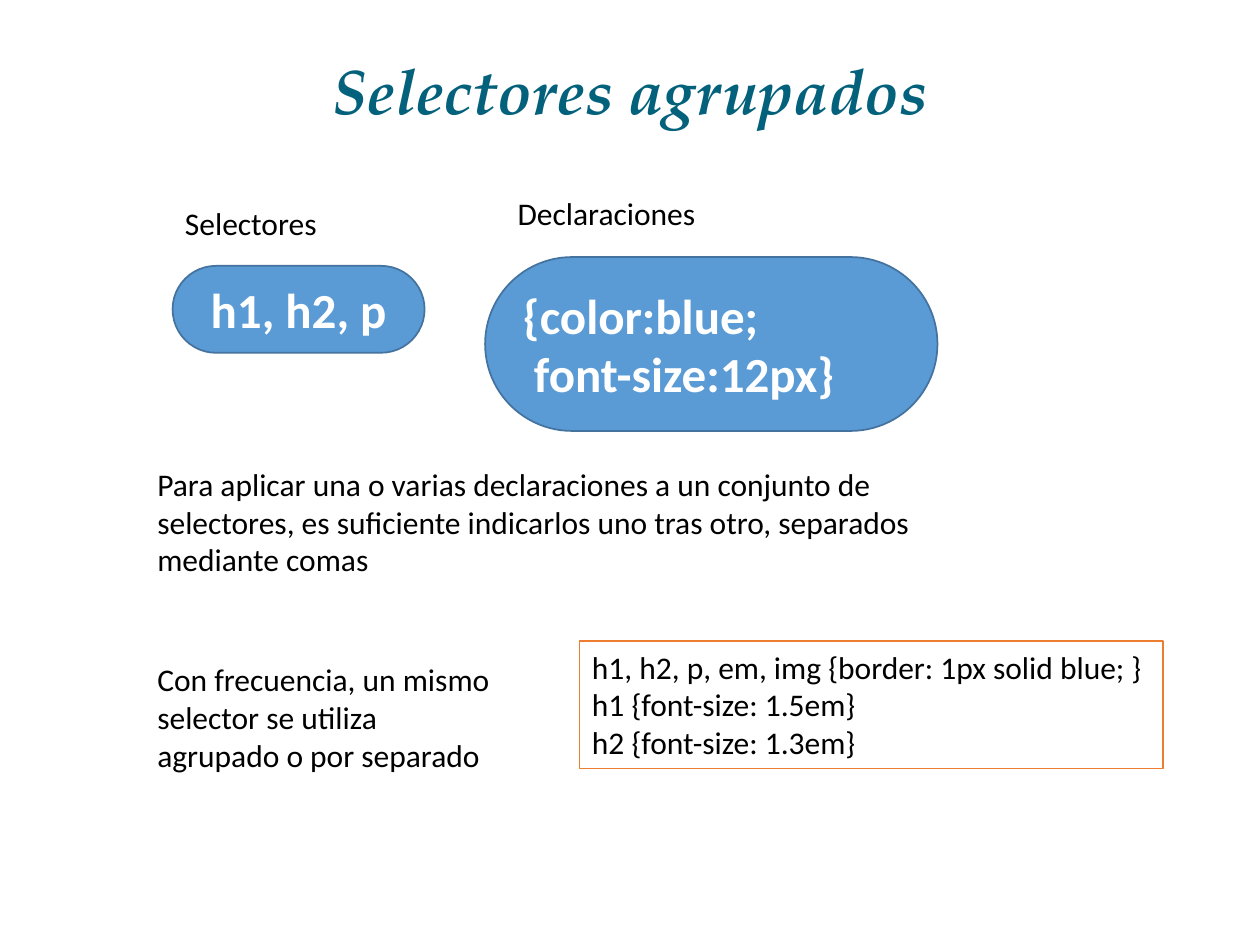
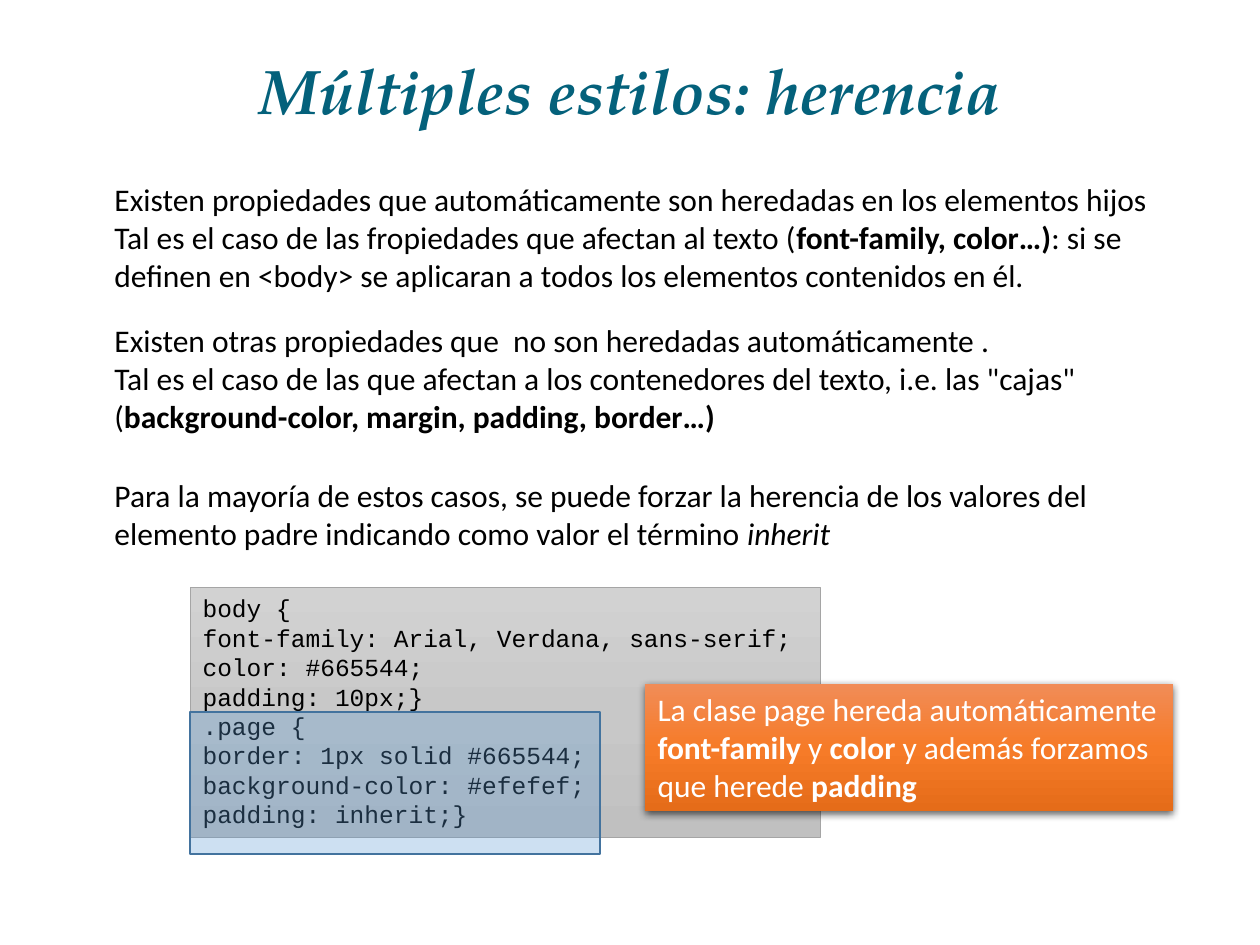
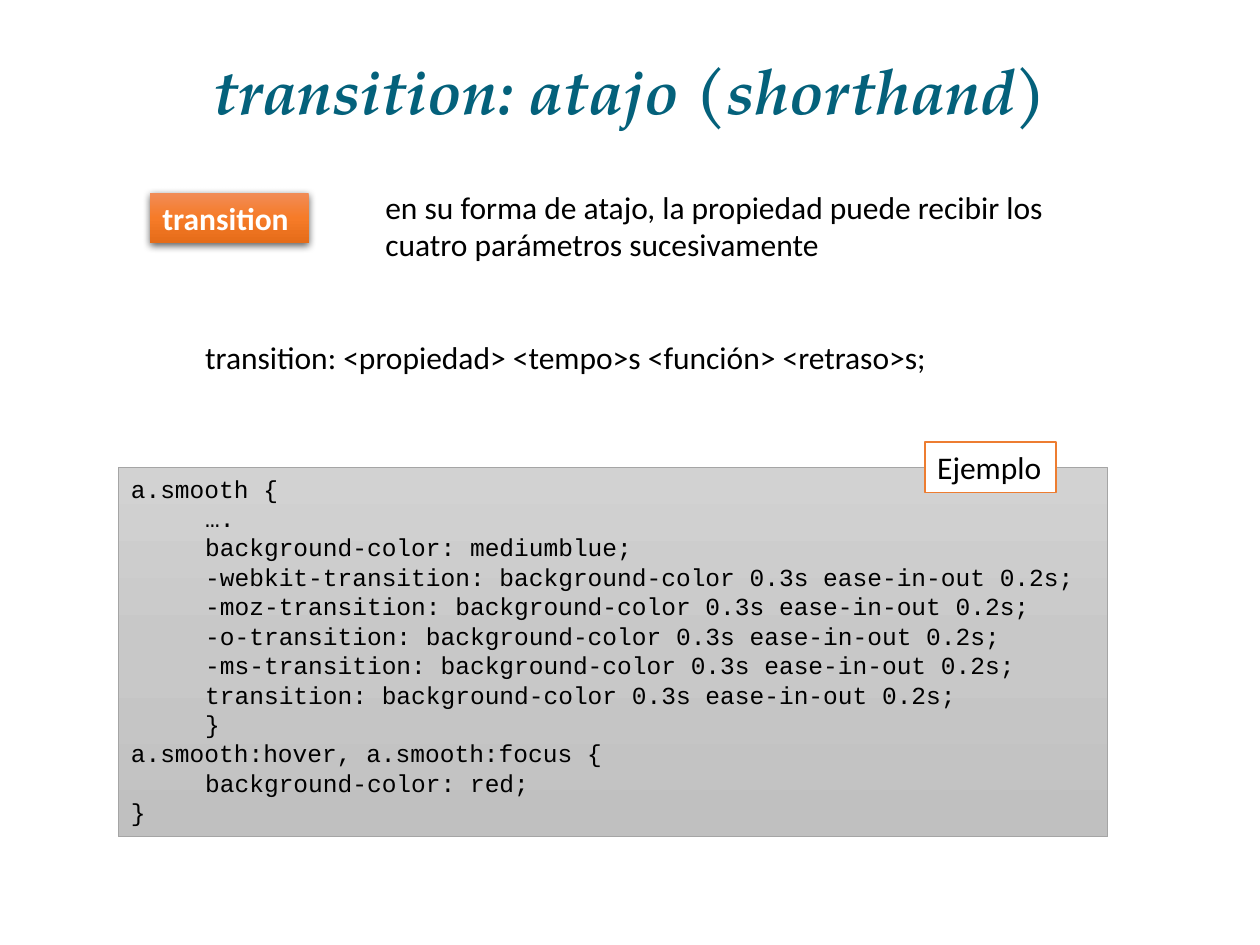
from lxml import etree
from pptx import Presentation
from pptx import util as u
from pptx.dml.color import RGBColor
from pptx.enum import shapes, text
from pptx.oxml.ns import qn

RECT = shapes.MSO_SHAPE.RECTANGLE
PILL = shapes.MSO_SHAPE.ROUNDED_RECTANGLE
MID = text.MSO_ANCHOR.MIDDLE
TOP = text.MSO_ANCHOR.TOP
LEFT = text.PP_ALIGN.LEFT
CENTER = text.PP_ALIGN.CENTER

BODY = dict(name="Calibri", size=u.Pt(18), color="000000")
CODE = dict(BODY, name="Courier New", size=u.Pt(14))
WHITE = dict(BODY, color="FFFFFF")
BIG = dict(WHITE, size=u.Pt(28), bold=True)
HEAD = dict(name="TeX Gyre Pagella", size=u.Pt(36), color="04617B", bold=True, italic=True)

PLAIN = dict(font=BODY)
LABEL = dict(font=BODY, wrap=False)
TITLE = dict(font=HEAD, anchor=MID, align=CENTER, grow=False, space=0.9)
FRAME = dict(font=BODY, form=RECT, fill=["FFFFFF"], line=("ED7D31", 1))
TAG = dict(FRAME, wrap=False)
CAPSULE = dict(font=BIG, form=PILL, fill=["5B9BD5"], line=("43739E", 1), anchor=MID, grow=False)
VEIL = dict(font=BODY, form=RECT, fill=["5B9BD5"], line=("43739E", 1), alpha=30, grow=False)
LIST = dict(font=CODE, form=RECT, fill=["D2D2D2", "C8C8C8", "C0C0C0"], line=("A5A5A5", 0.5), tab=0.59)
NOTE = dict(font=WHITE, form=RECT, fill=["F18C57", "F67B28", "E56C19"], shade=True)
TERM = dict(NOTE, font=dict(WHITE, bold=True))


def rgb(code):
    return RGBColor.from_string(code)


def box(slide, place, words, look):
    area = [u.Inches(n) for n in place]
    if "form" in look:
        item = slide.shapes.add_shape(look["form"], *area)
        item.shadow.inherit = False
        if look["form"] == PILL:
            item.adjustments[0] = 0.5
        props = item._element.spPr
        tints = look["fill"]
        if len(tints) == 1:
            item.fill.solid()
            item.fill.fore_color.rgb = rgb(tints[0])
            if "alpha" in look:
                tone = props.find(qn("a:solidFill"))[0]
                etree.SubElement(tone, qn("a:alpha"), val=str(look["alpha"] * 1000))
        else:
            item.fill.gradient()
            item.fill.gradient_angle = 270
            stops = next(props.iter(qn("a:gsLst")))
            for old in list(stops):
                stops.remove(old)
            for i, tint in enumerate(tints):
                stop = etree.SubElement(stops, qn("a:gs"), pos=str(i * 50000))
                etree.SubElement(stop, qn("a:srgbClr"), val=tint)
        if "line" in look:
            tint, width = look["line"]
            item.line.color.rgb = rgb(tint)
            item.line.width = u.Pt(width)
        else:
            item.line.fill.background()
        if "shade" in look:
            cast = etree.SubElement(
                props.find(qn("a:effectLst")), qn("a:outerShdw"),
                blurRad=str(u.Pt(4.5)), dist=str(u.Pt(1.5)), dir="5400000", rotWithShape="0")
            tone = etree.SubElement(cast, qn("a:srgbClr"), val="000000")
            etree.SubElement(tone, qn("a:alpha"), val="63000")
    else:
        item = slide.shapes.add_textbox(*area)
    frame = item.text_frame
    frame.word_wrap = look.get("wrap", True)
    frame.vertical_anchor = look.get("anchor", TOP)
    if look.get("grow", True):
        frame.auto_size = text.MSO_AUTO_SIZE.SHAPE_TO_FIT_TEXT
    for i, row in enumerate(words.split("\n")):
        para = frame.paragraphs[0] if i == 0 else frame.add_paragraph()
        para.alignment = look.get("align", LEFT)
        if "space" in look:
            para.line_spacing = look["space"]
        if "tab" in look:
            tabs = etree.SubElement(para._p.get_or_add_pPr(), qn("a:tabLst"))
            etree.SubElement(tabs, qn("a:tab"), pos=str(u.Inches(look["tab"])), algn="l")
        for j, part in enumerate(row.split("|")):
            if not part:
                continue
            run = para.add_run()
            run.text = part
            style = dict(look["font"])
            if j % 2:
                style[look.get("mark", "bold")] = True
            run.font.color.rgb = rgb(style.pop("color"))
            for key, value in style.items():
                setattr(run.font, key, value)


GROUPED = [
    ((4.6, 5.09, 4.63, 1.01), """h1, h2, p, em, img {border: 1px solid blue; }
h1 {font-size: 1.5em}
h2 {font-size: 1.3em}""", FRAME),
    ((1.15, 3.64, 6.88, 1.01), "Para aplicar una o varias declaraciones a un conjunto de selectores, "
     "es suficiente indicarlos uno tras otro, separados mediante comas", PLAIN),
    ((1.37, 2.11, 2, 0.69), "h1, h2, p", dict(CAPSULE, align=CENTER)),
    ((3.85, 2.04, 3.59, 1.38), "{color:blue;\n font-size:12px}", CAPSULE),
    ((1.37, 1.57, 1.26, 0.4), "Selectores", LABEL),
    ((4.01, 1.49, 1.63, 0.4), "Declaraciones", LABEL),
    ((1.15, 5.19, 2.95, 1.01), "Con frecuencia, un mismo selector se utiliza agrupado o por separado", PLAIN),
]

INHERIT = [
    ((0.81, 1.38, 8.43, 1.01), "Existen propiedades que automáticamente son heredadas en los elementos hijos\n"
     "Tal es el caso de las fropiedades que afectan al texto (|font-family, color…)|: "
     "si se definen en <body> se aplicaran a todos los elementos contenidos en él.", PLAIN),
    ((0.81, 2.5, 7.96, 1.01), "Existen otras propiedades que  no son heredadas automáticamente .\n"
     "Tal es el caso de las que afectan a los contenedores del texto, i.e. las \"cajas\" "
     "(|background-color, margin, padding, border…)", PLAIN),
    ((1.51, 4.66, 5, 1.99), """body {
font-family: Arial, Verdana, sans-serif;
color: #665544;
padding: 10px;}
.page {
border: 1px solid #665544;
background-color: #efefef;
padding: inherit;}""", LIST),
    ((1.51, 5.65, 3.25, 1.13), "", VEIL),
    ((5.12, 5.43, 4.19, 1.01), "La clase page hereda automáticamente |font-family| y |color| "
     "y además forzamos que herede |padding", NOTE),
    ((0.81, 3.73, 8.02, 0.71), "Para la mayoría de estos casos, se puede forzar la herencia de los valores "
     "del elemento padre indicando como valor el término |inherit", dict(PLAIN, mark="italic")),
]

SHORT = [
    ((1.19, 1.53, 1.26, 0.4), "transition", TERM),
    ((2.96, 1.44, 6.08, 0.71), "en su forma de atajo, la propiedad puede recibir los cuatro "
     "parámetros sucesivamente", PLAIN),
    ((1.53, 2.63, 6.67, 0.4), "transition: <propiedad> <tempo>s <función> <retraso>s;", PLAIN),
    ((0.94, 3.71, 7.85, 2.93), """a.smooth {
\t….
\tbackground-color: mediumblue;
\t-webkit-transition: background-color 0.3s ease-in-out 0.2s;
\t-moz-transition: background-color 0.3s ease-in-out 0.2s;
\t-o-transition: background-color 0.3s ease-in-out 0.2s;
\t-ms-transition: background-color 0.3s ease-in-out 0.2s;
\ttransition: background-color 0.3s ease-in-out 0.2s;
\t}
a.smooth:hover, a.smooth:focus {
\tbackground-color: red;
}""", LIST),
    ((7.34, 3.51, 1.04, 0.4), "Ejemplo", TAG),
]

deck = Presentation()
deck.slide_width = u.Inches(10)
deck.slide_height = u.Inches(7.5)

for title, parts in [
    ("Selectores agrupados", GROUPED),
    ("Múltiples estilos: herencia", INHERIT),
    ("transition: atajo (shorthand)", SHORT),
]:
    slide = deck.slides.add_slide(deck.slide_layouts[6])
    box(slide, (0.69, 0.4, 8.62, 0.7), title, TITLE)
    for place, words, look in parts:
        box(slide, place, words, look)

deck.save("out.pptx")
